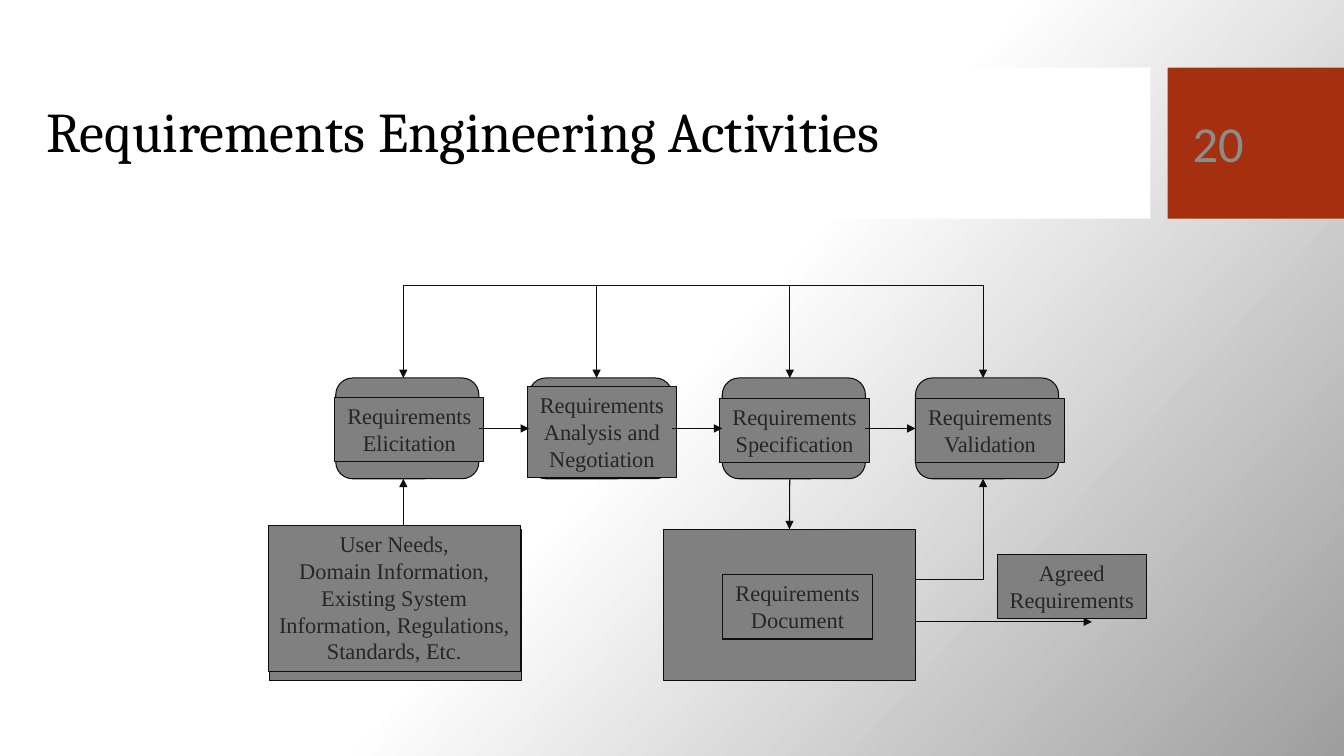
"""Build the requirements engineering activities slide."""
import pptx
import pptx.util
import pptx.dml.color
import pptx.enum.shapes
import pptx.enum.text
from lxml import etree

Inches, Pt = pptx.util.Inches, pptx.util.Pt
KIND = pptx.enum.shapes.MSO_SHAPE
ALIGN = pptx.enum.text.PP_ALIGN
ANCHOR = pptx.enum.text.MSO_ANCHOR
FIT = pptx.enum.text.MSO_AUTO_SIZE

TITLE = "Requirements Engineering Activities"
NUMBER = "20"
GREY, INK, DARK = "808080", "0D0D0D", "262626"
STAGES = [
    ("Requirements\nElicitation", 3.32, 3.94),
    ("Requirements\nAnalysis and\nNegotiation", 5.23, 3.83),
    ("Requirements\nSpecification", 7.14, 3.95),
    ("Requirements\nValidation", 9.08, 3.95),
]
NEEDS = ("User Needs,\nDomain Information,\nExisting System\n"
         "Information, Regulations,\nStandards, Etc.")
NOTES = [
    (NEEDS, 2.66, 5.21, 2.5),
    ("Requirements\nDocument", 7.17, 5.7, 1.48),
    ("Agreed\nRequirements", 9.89, 5.5, 1.48),
]
FIRST, STEP = 3.33, 23 / 12
WIDE, HIGH, TOP = 1.42, 1, 3.75
BUS, AXIS = 2.83, 4
LOW, SIZE = 5.25, (2.5, 1.5)
PAD, ROW = 0.1, 0.27

deck = pptx.Presentation()
deck.slide_width, deck.slide_height = Inches(13.33), Inches(7.5)
slide = deck.slides.add_slide(deck.slide_layouts[6])


def color(code):
    return pptx.dml.color.RGBColor.from_string(code)


def put(item, values):
    for name, value in values.items():
        setattr(item, name, value)


def write(shape, text, font, size, tint, frame, para):
    put(shape.text_frame, frame)
    shape.text_frame.text = text
    for line in shape.text_frame.paragraphs:
        put(line, para)
        put(line.font, {"name": font, "size": Pt(size)})
        line.font.color.rgb = color(tint)


def box(kind, x, y, w, h, fill, edge=None):
    shape = slide.shapes.add_shape(kind, *map(Inches, (x, y, w, h)))
    shape.shadow.inherit = False
    shape.fill.solid()
    shape.fill.fore_color.rgb = color(fill)
    if edge:
        shape.line.color.rgb = color(edge)
        shape.line.width = Pt(0.75)
    else:
        shape.line.fill.background()
    return shape


def label(text, x, y, w=1.48):
    rows = text.count("\n") + 1
    shape = box(KIND.RECTANGLE, x, y, w, PAD + ROW * rows, GREY, INK)
    write(shape, text, "Times New Roman", 16, DARK,
          {"word_wrap": False, "auto_size": FIT.SHAPE_TO_FIT_TEXT,
           "vertical_anchor": ANCHOR.TOP}, {"alignment": ALIGN.CENTER})


def link(x1, y1, x2, y2, arrow=True, width=0.75):
    line = slide.shapes.add_connector(
        pptx.enum.shapes.MSO_CONNECTOR.STRAIGHT,
        *map(Inches, (x1, y1, x2, y2)))
    line.line.color.rgb = color(INK)
    line.line.width = Pt(width)
    space = "{http://schemas.openxmlformats.org/drawingml/2006/main}"
    if arrow:
        etree.SubElement(line.line._get_or_add_ln(), space + "tailEnd",
                         type="triangle")
    etree.SubElement(line._element.spPr, space + "effectLst")
    return line


def words(text, area, font, size, tint, para):
    shape = slide.shapes.add_textbox(*map(Inches, area))
    write(shape, text, font, size, tint,
          {"word_wrap": True, "vertical_anchor": ANCHOR.MIDDLE}, para)


back = slide.background.fill
back.gradient()
back.gradient_angle = 318
for stop, place, tint in zip(back.gradient_stops, (0.5, 1), ("FFFFFF", "9E9E9E")):
    stop.position = place
    stop.color.rgb = color(tint)

box(KIND.RECTANGLE, 0, 0.67, 11.41, 1.5, "FFFFFF")
box(KIND.RECTANGLE, 11.58, 0.67, 1.75, 1.5, "A5300F")
words(TITLE, (0.36, 0.74, 10.51, 1.18), "Cambria", 40, "000000",
      {"line_spacing": 0.9})
words(NUMBER, (11.73, 0.82, 1.26, 1.19), "Calibri", 36, "8C8C8C", {})

stages = [box(KIND.ROUNDED_RECTANGLE, FIRST + i * STEP, TOP, WIDE, HIGH, GREY, INK)
          for i in range(len(STAGES))]
for stage in STAGES:
    label(*stage)
box(KIND.RECTANGLE, 2.67, LOW, *SIZE, GREY, INK)
paper = box(KIND.RECTANGLE, 6.58, LOW, *SIZE, GREY, INK)
for note in NOTES:
    label(*note)

drops = [AXIS + i * STEP for i in range(len(STAGES))]
link(drops[0], BUS, drops[-1], BUS, False)
for x in drops:
    link(x, BUS, x, TOP)
base = TOP + HIGH
link(drops[0], NOTES[0][2], drops[0], base)
link(drops[2], base, drops[2], LOW).end_connect(paper, 0)
edge = 6.58 + SIZE[0]
link(edge, 6.17, 10.83, 6.17)
link(edge, 5.75, drops[-1], 5.75, False)
link(drops[-1], 5.75, drops[-1], base)
for left, right in zip(stages, stages[1:]):
    line = link(0, 0, 1, 0, True, 1)
    line.begin_connect(left, 3)
    line.end_connect(right, 1)

deck.save("out.pptx")
